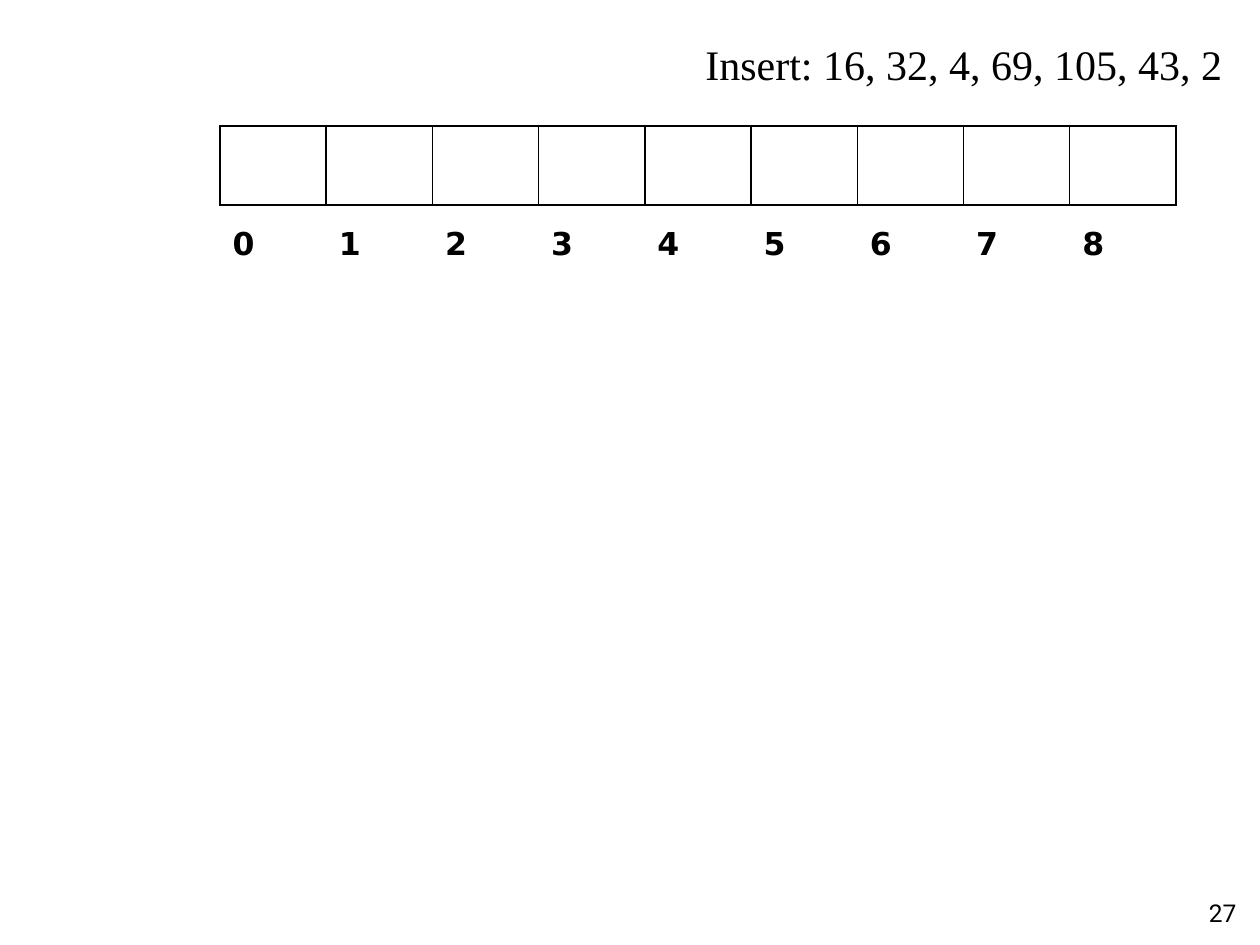
from pptx import Presentation
from pptx.dml.color import RGBColor
from pptx.enum.text import MSO_ANCHOR, PP_ALIGN
from pptx.oxml import parse_xml
from pptx.oxml.ns import nsdecls
from pptx.util import Pt

PX = 914400 // 126
COLORS = {"ink": "000000", "paper": "FFFFFF"}

TITLE = "Insert: 16, 32, 4, 69, 105, 43, 2"
NUMBER = "27"
SLOTS = [""] * 9
LABELS = [str(n) for n in range(len(SLOTS))]
ROWS = [(SLOTS, "LRTB"), (LABELS, "T")]  # texts, ruled sides
GRID = (220, 126, 956, 158)


def write(frame, text, font, size, bold=False, align=PP_ALIGN.LEFT, before=0):
    """Put one formatted line of text into a frame."""
    para = frame.paragraphs[0]
    para.alignment = align
    para.space_before = Pt(before)
    run = para.add_run()
    run.text = text
    run.font.name = font
    run.font.size = Pt(size)
    run.font.bold = bold
    run.font.color.rgb = RGBColor.from_string(COLORS["ink"])


def add_text(slide, box, text, wrap=True, **style):
    """Add a text box at a pixel box."""
    frame = slide.shapes.add_textbox(*(v * PX for v in box)).text_frame
    frame.word_wrap = wrap
    write(frame, text, **style)


def rule(cell, sides):
    """Draw the named cell sides and clear the others."""
    props = cell._tc.get_or_add_tcPr()
    ink = f'<a:solidFill><a:srgbClr val="{COLORS["ink"]}"/></a:solidFill>'
    for spot, side in enumerate("LRTB"):
        fill = ink if side in sides else "<a:noFill/>"
        line = f'<a:ln{side} {nsdecls("a")} w="{Pt(1)}">{fill}</a:ln{side}>'
        props.insert(spot, parse_xml(line))


def add_grid(slide):
    """Add the row of empty slots with its index labels below."""
    left, top, width, height = GRID
    table = slide.shapes.add_table(
        len(ROWS), len(SLOTS), *(v * PX for v in GRID)).table
    table.first_row = table.horz_banding = False
    for col in table.columns:
        col.width = width * PX // len(SLOTS)
    for r, (texts, sides) in enumerate(ROWS):
        table.rows[r].height = height * PX // len(ROWS)
        for c, text in enumerate(texts):
            cell = table.cell(r, c)
            cell.fill.background()
            rule(cell, sides)
            if text:
                cell.vertical_anchor = MSO_ANCHOR.MIDDLE
                write(cell.text_frame, text, font="DejaVu Sans", size=18,
                      bold=True, align=PP_ALIGN.JUSTIFY, before=3.6)


deck = Presentation()
deck.slide_width, deck.slide_height = 1260 * PX, 945 * PX
slide = deck.slides.add_slide(deck.slide_layouts[6])
slide.background.fill.solid()
slide.background.fill.fore_color.rgb = RGBColor.from_string(COLORS["paper"])

add_text(slide, (987, 892, 262, 47), NUMBER, font="Roboto", size=14,
         align=PP_ALIGN.RIGHT)
add_grid(slide)
add_text(slide, (693, 32, 542, 63), TITLE, wrap=False,
         font="Times New Roman", size=24)

deck.save("out.pptx")
